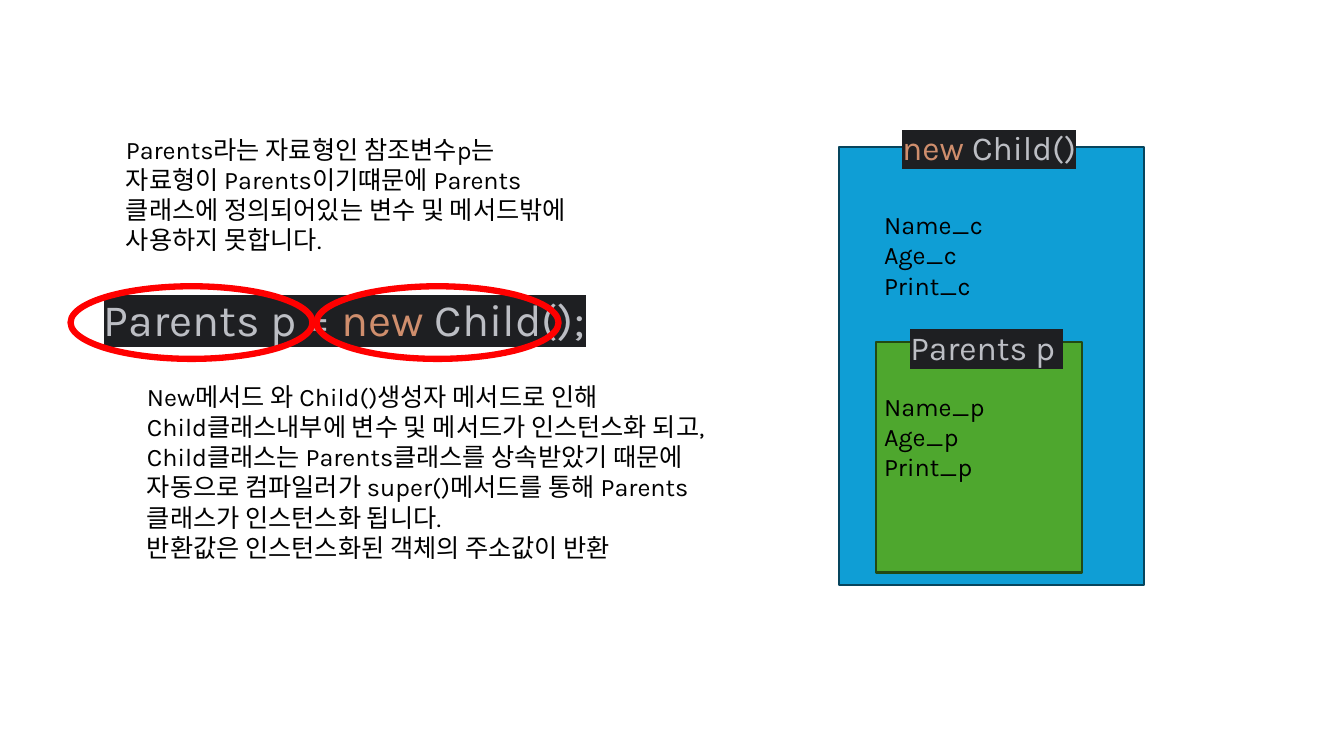
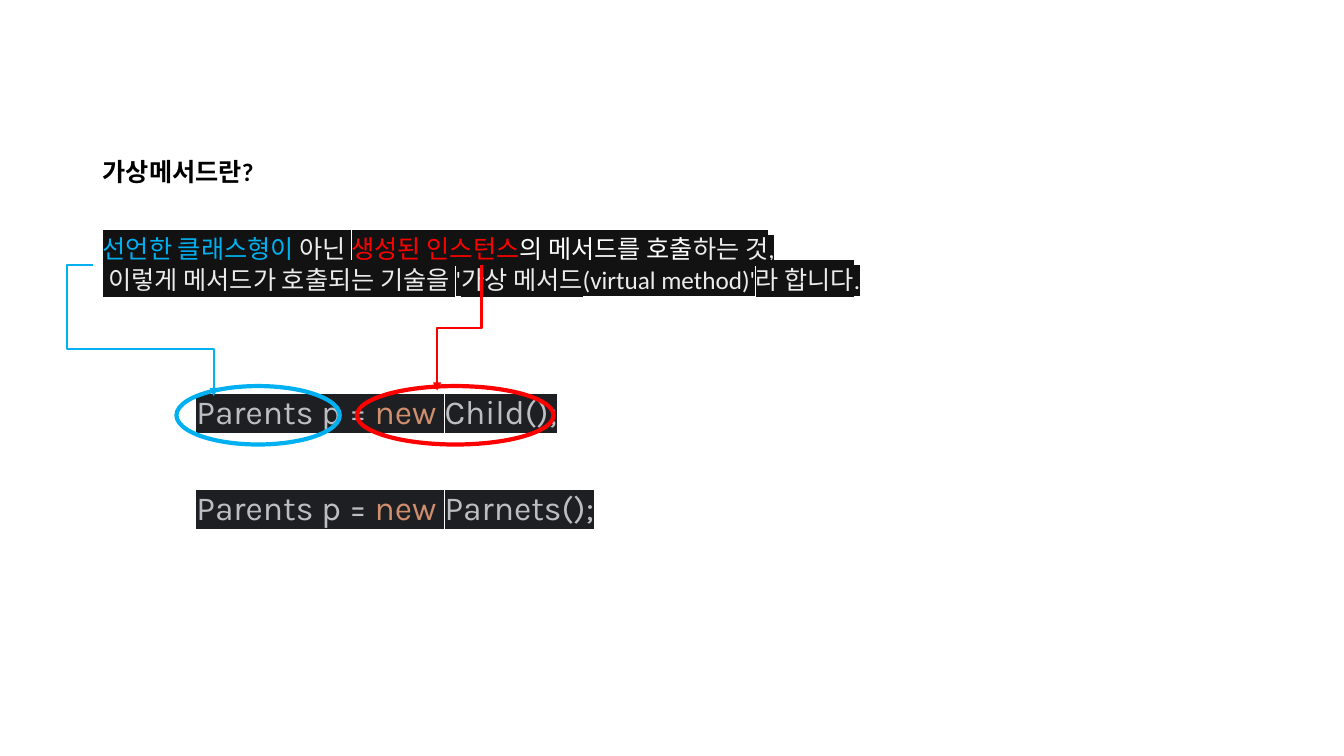
from lxml import etree
from pptx import Presentation, util as u
from pptx.dml.color import RGBColor
from pptx.enum import shapes, text
from pptx.oxml.ns import qn

PX = 9144
BLACK = RGBColor(0x00, 0x00, 0x00)
WHITE = RGBColor(0xFF, 0xFF, 0xFF)
RED = RGBColor(0xFF, 0x00, 0x00)
SKY = RGBColor(0x00, 0xB0, 0xF0)
PALE = RGBColor(0xEC, 0xEC, 0xEC)
CODE_TEXT = RGBColor(0xBC, 0xBE, 0xC4)
CODE_KEYWORD = RGBColor(0xCF, 0x8E, 0x6D)
CODE_BACK = RGBColor(0x1E, 0x1F, 0x22)
NOTE_BACK = RGBColor(0x12, 0x12, 0x12)
CHILD_FILL = RGBColor(0x0F, 0x9E, 0xD5)
CHILD_LINE = RGBColor(0x07, 0x45, 0x5D)
PARENT_FILL = RGBColor(0x4E, 0xA7, 0x2E)
PARENT_LINE = RGBColor(0x22, 0x49, 0x14)


class Deck:
    """Hold the shared style and the current slide, and draw each kind of element."""

    def __init__(self, width, height):
        self.presentation = Presentation()
        self.presentation.slide_width = width * PX
        self.presentation.slide_height = height * PX
        self.slide = None

    def new_slide(self):
        self.slide = self.presentation.slides.add_slide(self.presentation.slide_layouts[6])

    def text(self, box, paragraphs, back=None, **formats):
        style = {"name": "Karla", "size": 18, "bold": False, **formats}
        style["size"] = u.Pt(style["size"])
        frame = self.slide.shapes.add_textbox(*(n * PX for n in box)).text_frame
        frame.word_wrap = True
        frame.auto_size = text.MSO_AUTO_SIZE.SHAPE_TO_FIT_TEXT
        for index, pieces in enumerate(paragraphs):
            paragraph = frame.add_paragraph() if index else frame.paragraphs[0]
            for words, colour in pieces:
                run = paragraph.add_run()
                run.text = words
                for name, value in style.items():
                    setattr(run.font, name, value)
                run.font.color.rgb = colour
                if back is not None:
                    self.highlight(run, back)

    def highlight(self, run, colour):
        mark = etree.Element(qn("a:highlight"))
        etree.SubElement(mark, qn("a:srgbClr"), val=str(colour))
        run.font._element.find(qn("a:solidFill")).addnext(mark)

    def lines(self, box, *lines):
        self.text(box, [[(line, BLACK)] for line in lines])

    def code(self, box, before, keyword, after, size=24):
        pieces = zip((before, keyword, after), (CODE_TEXT, CODE_KEYWORD, CODE_TEXT))
        self.text(box, [[piece for piece in pieces if piece[0]]], CODE_BACK, size=size)

    def shape(self, kind, box, line, weight, fill=None):
        shape = self.slide.shapes.add_shape(kind, *(n * PX for n in box))
        shape.shadow.inherit = False
        if fill is None:
            shape.fill.background()
        else:
            shape.fill.solid()
            shape.fill.fore_color.rgb = fill
        shape.line.color.rgb = line
        shape.line.width = u.Pt(weight)

    def rectangle(self, box, fill, line):
        self.shape(shapes.MSO_SHAPE.RECTANGLE, box, line, 1.5, fill)

    def ring(self, box, colour, weight):
        self.shape(shapes.MSO_SHAPE.OVAL, box, colour, weight)

    def elbow(self, box, colour, adjustments, turn=0):
        left, top, width, height = box
        ends = (left, top, left + width, top + height)
        connector = self.slide.shapes.add_connector(
            shapes.MSO_CONNECTOR.ELBOW, *(n * PX for n in ends))
        connector.line.color.rgb = colour
        connector.line.width = u.Pt(1.5)
        properties = connector.element.spPr
        properties.find(qn("a:xfrm")).set("rot", str(turn * 60000))
        geometry = properties.find(qn("a:prstGeom"))
        geometry.set("prst", f"bentConnector{len(adjustments) + 2}")
        guides = geometry.find(qn("a:avLst"))
        for number, percent in enumerate(adjustments, 1):
            etree.SubElement(guides, qn("a:gd"), name=f"adj{number}",
                             fmla=f"val {percent * 1000}")
        etree.SubElement(properties.find(qn("a:ln")), qn("a:tailEnd"), type="triangle")
        etree.SubElement(properties, qn("a:effectLst"))


def instance_slide(deck):
    deck.new_slide()
    deck.code((93, 284, 667, 64), "Parents p = ", "new ", "Child();", size=32)
    deck.rectangle((832, 146, 303, 434), CHILD_FILL, CHILD_LINE)
    deck.rectangle((869, 339, 204, 229), PARENT_FILL, PARENT_LINE)
    for left in (70, 314):
        deck.ring((left, 284, 240, 72), RED, 4.5)
    deck.lines((136, 373, 614, 192),
               "New메서드 와 Child()생성자 메서드로 인해",
               "Child클래스내부에 변수 및 메서드가 인스턴스화 되고,",
               "Child클래스는 Parents클래스를 상속받았기 때문에 자동으로 컴파일러가 "
               "super()메서드를 통해 Parents클래스가 인스턴스화 됩니다.",
               "반환값은 인스턴스화된 객체의 주소값이 반환")
    for top, suffix in ((203, "c"), (383, "p")):
        deck.lines((867, top, 203, 100),
                   *(f"{member}_{suffix}" for member in ("Name", "Age", "Print")))
    deck.lines((115, 128, 497, 131),
               "Parents라는 자료형인 참조변수p는",
               "자료형이 Parents이기떄문에 Parents클래스에 정의되어있는 변수 및 "
               "메서드밖에 사용하지 못합니다.")
    deck.code((885, 121, 300, 50), "", "new ", "Child()")
    deck.code((893, 319, 300, 50), "Parents p ", "", "")


def virtual_method_slide(deck):
    deck.new_slide()
    definition = [
        [("선언한 클래스형이 ", SKY), ("아닌 ", PALE), ("생성된 인스턴스", RED),
         ("의 메서드를 호출", WHITE), ("하는 것,", PALE)],
        [(" 이렇게 메서드가 호출되는 기술을 '가상 메서드(virtual method)'라 합니다.", PALE)],
    ]
    deck.text((92, 227, 904, 71), definition, NOTE_BACK, name="Calibri")
    deck.text((92, 150, 667, 40), [[("가상메서드란?", BLACK)]], name="Calibri", bold=True)
    deck.code((185, 383, 667, 50), "Parents p = ", "new ", "Child();")
    deck.elbow((92, 263, 120, 130), SKY, (-21, 64))
    deck.elbow((393, 303, 125, 44), RED, (50,), turn=90)
    deck.ring((175, 383, 162, 58), SKY, 3)
    deck.ring((354, 383, 195, 58), RED, 3)
    deck.code((185, 478, 667, 50), "Parents p = ", "new ", "Parnets();")


def main():
    deck = Deck(1333, 750)
    instance_slide(deck)
    virtual_method_slide(deck)
    deck.presentation.save("out.pptx")


if __name__ == "__main__":
    main()
